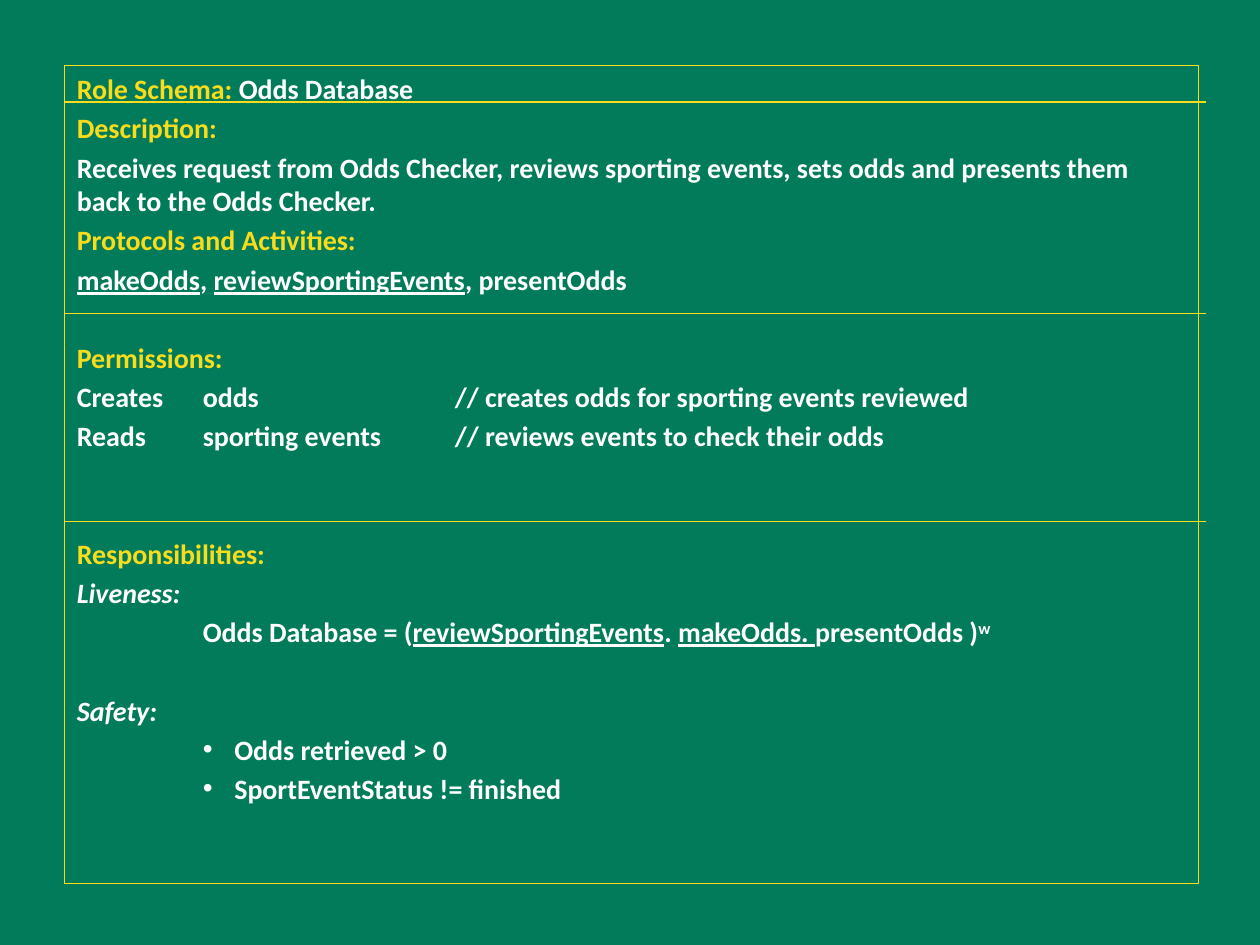
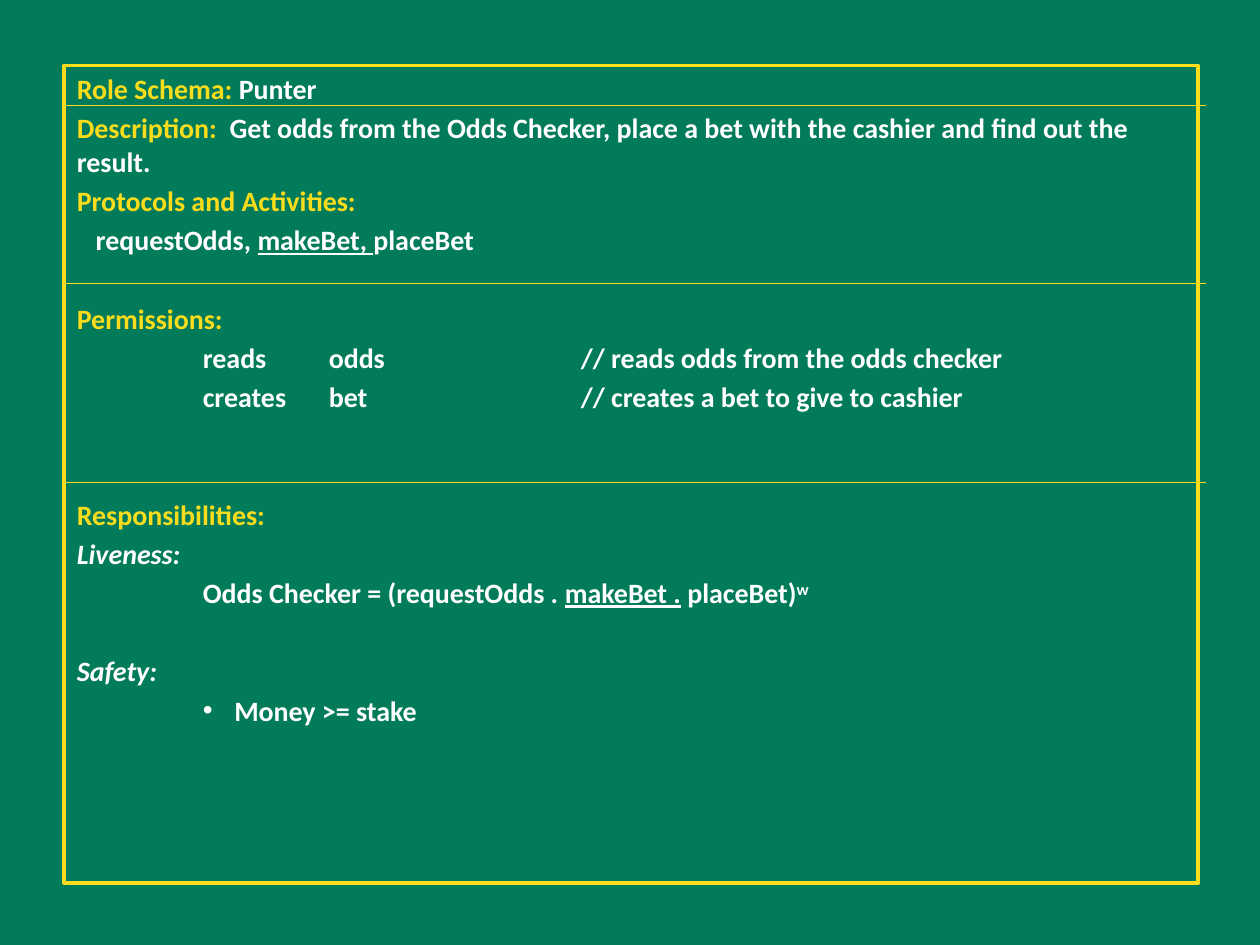
from lxml import etree
from pptx import Presentation
from pptx.dml.color import RGBColor
from pptx.enum import shapes, text
from pptx.oxml import ns
from pptx.util import Inches, Pt

GREEN, YELLOW, WHITE = "027B5B", "F9DC1C", "FFFFFF"
FONT, SIZE = "Calibri", Pt(16)
LEFT, TOP, WIDTH, HEIGHT = Inches(0.51), Inches(0.52), Inches(9), Inches(6.49)
RULE_END = Inches(9.57)
TAB_WIDTH = Inches(1)

# Space before a paragraph, in points: normal, and one or two lines apart
NEAR, APART, FAR = 3.2, 25.6, 47.9


def color(value):
    return RGBColor.from_string(value)


def add_child(parent, tag, **attributes):
    child = etree.SubElement(parent, ns.qn(tag))
    for name, value in attributes.items():
        child.set(name, str(value))
    return child


class SchemaDeck:
    """Holds the shared style and the slide being filled."""

    def __init__(self):
        self.presentation = Presentation()
        self.presentation.slide_width = Inches(10)
        self.presentation.slide_height = Inches(7.5)
        master = self.presentation.slide_master
        background = master.background.fill
        background.solid()
        background.fore_color.rgb = color(GREEN)
        for root in (self.presentation.element, master.element):
            for properties in root.xpath(".//*[@defTabSz]"):
                properties.set("defTabSz", str(TAB_WIDTH))
        self.slide = None
        self.text_frame = None
        self.is_empty = True

    def add_schema(self, border_width, rules, filled=False):
        """Start a slide with a framed body and dividing rules at the given heights."""
        layout = self.presentation.slide_layouts[1]
        self.slide = self.presentation.slides.add_slide(layout)
        title = self.slide.shapes.title.element
        title.getparent().remove(title)
        frame = self.slide.placeholders[1]
        frame.left, frame.top, frame.width, frame.height = LEFT, TOP, WIDTH, HEIGHT
        if filled:
            frame.fill.solid()
            frame.fill.fore_color.rgb = color(GREEN)
        frame.line.color.rgb = color(YELLOW)
        frame.line.width = Pt(border_width)
        self.text_frame = frame.text_frame
        self.text_frame.word_wrap = True
        self.text_frame.auto_size = text.MSO_AUTO_SIZE.NONE
        self.text_frame.vertical_anchor = text.MSO_ANCHOR.TOP
        self.is_empty = True
        for height in rules:
            self.add_rule(Inches(height))

    def add_rule(self, y):
        rule = self.slide.shapes.add_connector(
            shapes.MSO_CONNECTOR.STRAIGHT, LEFT, y, RULE_END, y)
        rule.line.color.rgb = color(YELLOW)
        rule.line.width = Pt(0.75)
        add_child(rule.element.spPr, "a:effectLst")

    def add_paragraph(self, *runs, before=NEAR, margin=0, bullet=False):
        """Add a paragraph of (words, style) runs; a plain string is an unstyled run."""
        if self.is_empty:
            paragraph, before = self.text_frame.paragraphs[0], 0
            self.is_empty = False
        else:
            paragraph = self.text_frame.add_paragraph()
        paragraph.level = 1 if bullet else 0
        properties = paragraph._p.get_or_add_pPr()
        properties.set("marL", str(Inches(margin)))
        properties.set("indent", str(Inches(-0.25 if bullet else 0)))
        if bullet:
            add_child(properties, "a:buChar", char="•")
        else:
            add_child(properties, "a:buNone")
        paragraph.space_before = Pt(before)
        for run in runs:
            words, style = (run, "plain") if isinstance(run, str) else run
            self.add_run(paragraph, words, style)

    def add_run(self, paragraph, words, style):
        run = paragraph.add_run()
        run.text = words
        font = run.font
        font.name, font.size, font.bold = FONT, SIZE, True
        font.color.rgb = color(YELLOW if style == "label" else WHITE)
        if style == "activity":
            font.underline = True
        elif style == "italic":
            font.italic = True
        elif style == "superscript":
            font._element.set("baseline", "30000")

    def add_label(self, label, *runs, before=NEAR):
        self.add_paragraph((label, "label"), *runs, before=before)

    def add_permissions(self, rows):
        self.add_label("Permissions:", before=APART)
        for row in rows:
            self.add_paragraph(row)

    def add_responsibilities(self, liveness, safety):
        self.add_label("Responsibilities:", before=FAR)
        self.add_paragraph(("Liveness:", "italic"))
        self.add_paragraph(*liveness, ("w", "superscript"), margin=1)
        self.add_paragraph(("Safety:", "italic"), before=APART)
        for condition in safety:
            self.add_paragraph(condition, margin=1.25, bullet=True)


def add_odds_database(deck):
    deck.add_schema(border_width=0.75, rules=(0.81, 2.49, 4.14))
    deck.add_label("Role Schema: ", "Odds Database")
    deck.add_label("Description:")
    deck.add_paragraph("Receives request from Odds Checker, reviews sporting events, "
                       "sets odds and presents them back to the Odds Checker.")
    deck.add_label("Protocols and Activities:")
    deck.add_paragraph(("makeOdds", "activity"), ", ",
                       ("reviewSportingEvents", "activity"), ", presentOdds")
    deck.add_permissions(
        ["Creates\todds\t\t// creates odds for sporting events reviewed",
         "Reads\tsporting events\t// reviews events to check their odds"])
    deck.add_responsibilities(
        ["Odds Database = (", ("reviewSportingEvents", "activity"), ". ",
         ("makeOdds. ", "activity"), "presentOdds )"],
        ["Odds retrieved > 0", "SportEventStatus != finished"])


def add_punter(deck):
    deck.add_schema(border_width=2, rules=(0.84, 2.25, 3.83), filled=True)
    deck.add_label("Role Schema: ", "Punter")
    deck.add_label("Description:  ", "Get odds from the Odds Checker, place a bet "
                   "with the cashier and find out the result.")
    deck.add_label("Protocols and Activities:")
    deck.add_paragraph("requestOdds, ", ("makeBet, ", "activity"), "placeBet",
                       margin=0.15)
    deck.add_permissions(
        ["\treads\todds\t\t// reads odds from the odds checker",
         "\tcreates\tbet\t\t// creates a bet to give to cashier"])
    deck.add_responsibilities(
        ["Odds Checker = (requestOdds . ", ("makeBet .", "activity"), " placeBet)"],
        ["Money >= stake"])


def main():
    deck = SchemaDeck()
    add_odds_database(deck)
    add_punter(deck)
    deck.presentation.save("out.pptx")


if __name__ == "__main__":
    main()
